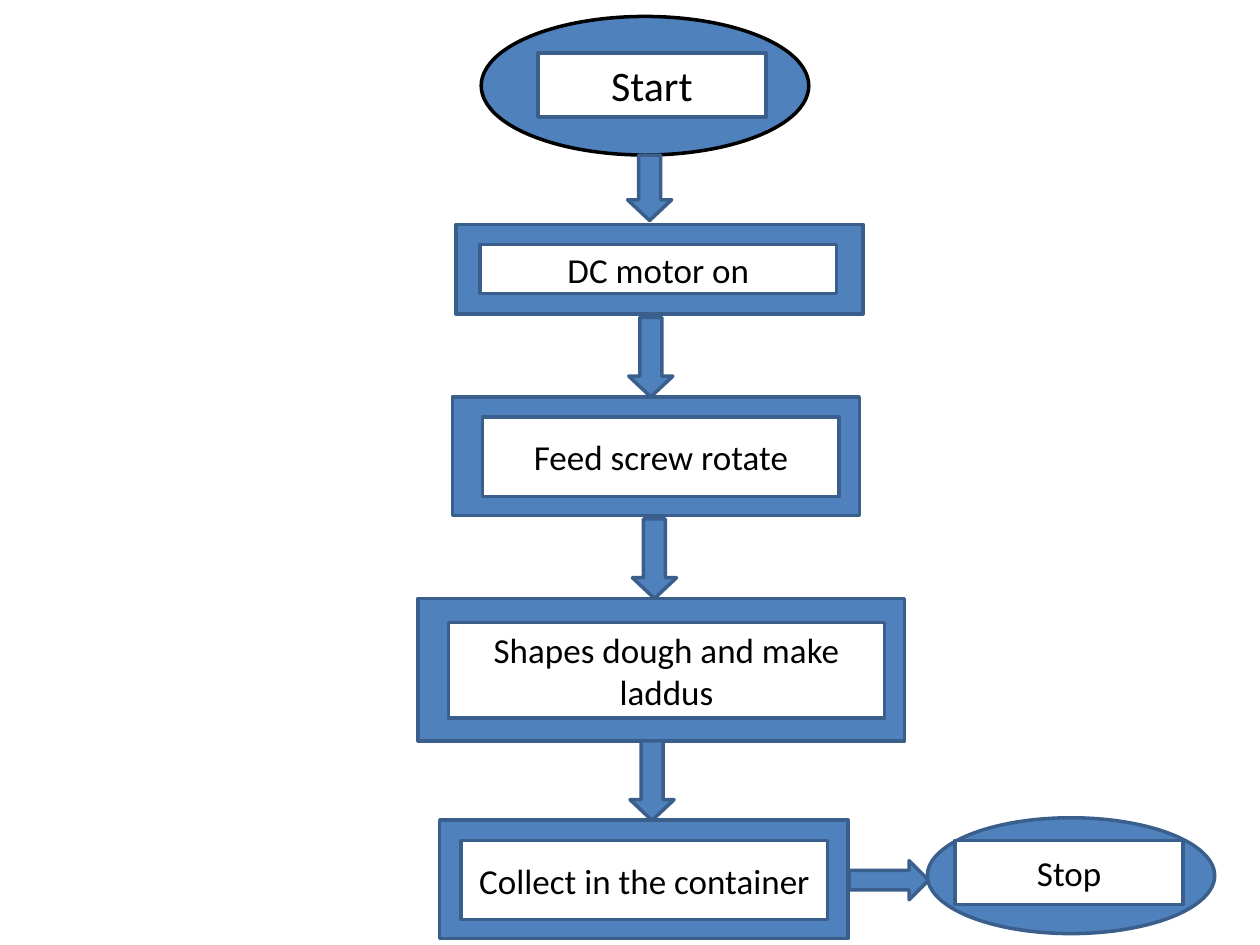
from pptx import Presentation
from pptx.dml.color import RGBColor
from pptx.enum.shapes import MSO_SHAPE
from pptx.enum.text import MSO_ANCHOR, PP_ALIGN
from pptx.util import Pt

OVAL, RECT = MSO_SHAPE.OVAL, MSO_SHAPE.RECTANGLE
DOWN, RIGHT = MSO_SHAPE.DOWN_ARROW, MSO_SHAPE.RIGHT_ARROW
MIDDLE, CENTER = MSO_ANCHOR.MIDDLE, PP_ALIGN.CENTER

THEME = {
    "font": "Calibri", "start_size": 24, "step_size": 20, "line_width": 2,
    "blue": RGBColor(0x4F, 0x81, 0xBD), "edge": RGBColor(0x3A, 0x5F, 0x8C),
    "white": RGBColor(0xFF, 0xFF, 0xFF), "black": RGBColor(0, 0, 0),
}

# Steps in order: text, frame shape, frame box, label box (left, top, width, height)
STEPS = [
    ("Start", OVAL, (275, 9.4, 187.2, 79.2), (307.4, 30.2, 130.3, 36.7)),
    ("DC motor on", RECT, (260.6, 128.2, 232.6, 51.1), (274.3, 139.7, 203.8, 28.1)),
    ("Feed screw rotate", RECT, (258.5, 226.8, 232.6, 67.7), (275.8, 238.3, 203.8, 45.4)),
    ("Shapes dough and make laddus", RECT, (239, 342, 277.9, 81.4), (256.3, 355.7, 249.1, 54.7)),
    ("Collect in the container", RECT, (251.3, 468.7, 233.3, 67.7), (263.5, 480.2, 209.5, 45.4)),
    ("Stop", OVAL, (529.9, 467.3, 164.2, 66.2), (545.8, 480.2, 130.3, 36.7)),
]
# The arrow that leaves each step but the last
ARROWS = [
    (DOWN, (358.6, 88.6, 25.2, 37.4)),
    (DOWN, (359.3, 181.4, 25.2, 45.4)),
    (DOWN, (361.4, 296.6, 25.2, 45.4)),
    (DOWN, (360, 423.4, 25.2, 45.4)),
    (RIGHT, (485.3, 491.8, 45.4, 22.3)),
]


def add_block(slide, preset, box, fill="blue", edge="edge"):
    block = slide.shapes.add_shape(preset, *(Pt(length) for length in box))
    block.shadow.inherit = False
    block.fill.solid()
    block.fill.fore_color.rgb = THEME[fill]
    block.line.color.rgb = THEME[edge]
    block.line.width = Pt(THEME["line_width"])
    return block


def add_label(slide, text, box, size):
    frame = add_block(slide, RECT, box, fill="white").text_frame
    frame.word_wrap = True
    frame.vertical_anchor = MIDDLE
    paragraph = frame.paragraphs[0]
    paragraph.alignment = CENTER
    run = paragraph.add_run()
    run.text = text
    run.font.name = THEME["font"]
    run.font.size = Pt(size)
    run.font.color.rgb = THEME["black"]


def main():
    prs = Presentation()
    prs.slide_width, prs.slide_height = Pt(720), Pt(540)
    slide = prs.slides.add_slide(prs.slide_layouts[6])

    for index, (text, preset, frame_box, label_box) in enumerate(STEPS):
        # Frame and label; the first step stands out
        first = index == 0
        add_block(slide, preset, frame_box, edge="black" if first else "edge")
        add_label(slide, text, label_box, THEME["start_size" if first else "step_size"])

        # Arrow to the next step
        if index < len(ARROWS):
            direction, arrow_box = ARROWS[index]
            arrow = add_block(slide, direction, arrow_box)
            if direction == DOWN:
                arrow.adjustments[1] = 0.47

    prs.save("out.pptx")


if __name__ == "__main__":
    main()
